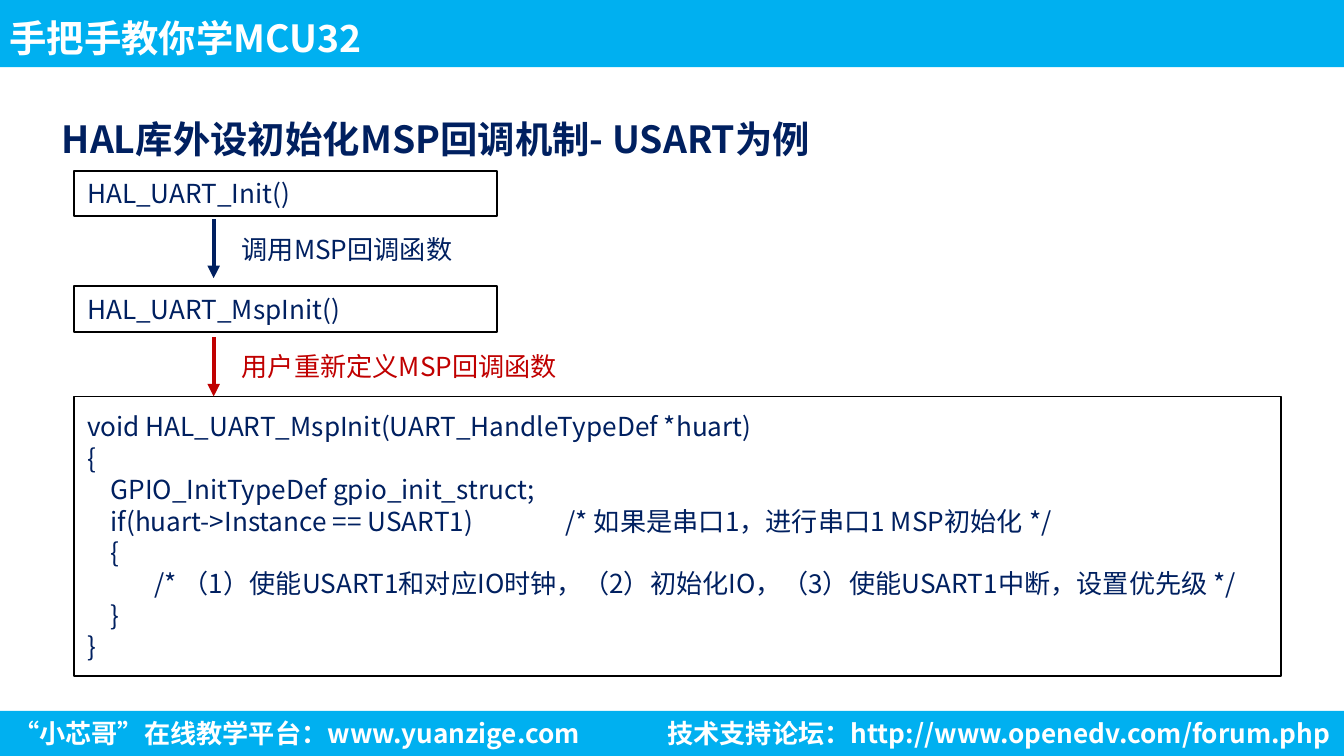
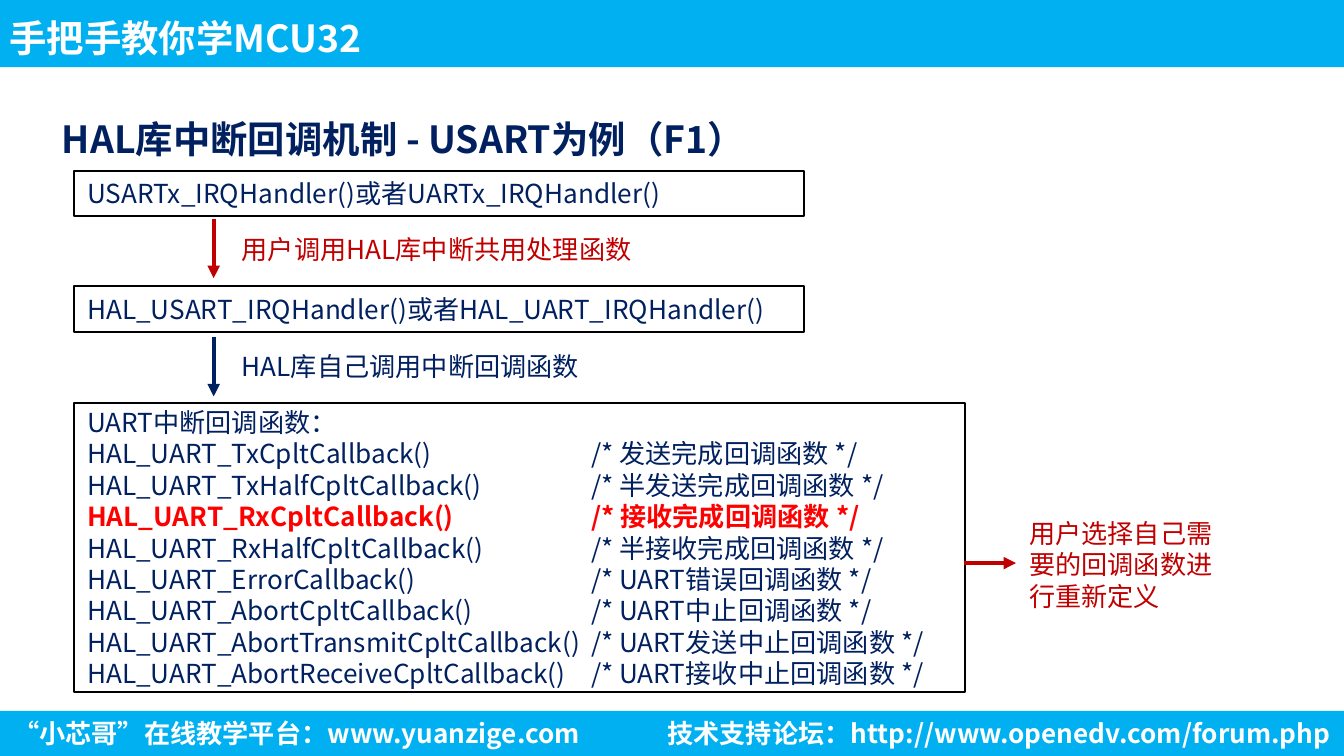
from lxml.etree import SubElement
from pptx import Presentation
from pptx.dml.color import RGBColor
from pptx.enum.shapes import MSO_CONNECTOR as Connector, MSO_SHAPE as Shape
from pptx.enum.text import MSO_ANCHOR as Anchor, MSO_AUTO_SIZE as AutoSize, PP_ALIGN as Align
from pptx.oxml.ns import qn
from pptx.util import Inches, Pt

FONT = "Noto Sans CJK SC"
COLORS = {
    "band": "00B0F0",
    "white": "FFFFFF",
    "black": "000000",
    "navy": "002060",
    "red": "C00000",
    "bright": "FF0000",
}
COURSE = "手把手教你学MCU32"
PLATFORM = "“小芯哥”在线教学平台：www.yuanzige.com"
FORUM = "技术支持论坛：http://www.openedv.com/forum.php"
WIDTH = 10
HEIGHT = WIDTH * 9 / 16
FOOTER_TOP, FOOTER_HEIGHT = 5.29, 0.34
BOX_LEFT, STEP_TOP, STEP_GAP, STEP_HEIGHT = 0.55, 1.27, 0.86, 0.34
ARROW_X, ARROW_TOP, ARROW_GAP, ARROW_LENGTH = 1.59, 1.63, 0.88, 0.44
NOTE_LEFT, NOTE_TOP, NOTE_GAP = 1.7, 1.69, 0.87

MSP_CODE = [
    "void HAL_UART_MspInit(UART_HandleTypeDef *huart)",
    "{",
    "    GPIO_InitTypeDef gpio_init_struct;",
    "    if(huart->Instance == USART1)\t/* 如果是串口1，进行串口1 MSP初始化 */",
    "    {",
    "\t/* （1）使能USART1和对应IO时钟，（2）初始化IO，（3）使能USART1中断，设置优先级 */",
    "    }",
    "}",
]
CALLBACKS = [
    ("TxCplt", "发送完成"),
    ("TxHalfCplt", "半发送完成"),
    ("RxCplt", "接收完成"),
    ("RxHalfCplt", "半接收完成"),
    ("Error", "UART错误"),
    ("AbortCplt", "UART中止"),
    ("AbortTransmitCplt", "UART发送中止"),
    ("AbortReceiveCplt", "UART接收中止"),
]


def rgb(name):
    """Return the named palette colour."""
    return RGBColor.from_string(COLORS[name])


def style(para, size, color, bold=False, tab=None):
    """Set the tab stop and the font of a paragraph."""
    properties = para._p.get_or_add_pPr()
    if tab:
        stops = SubElement(properties, qn("a:tabLst"))
        SubElement(stops, qn("a:tab"), pos=str(Inches(tab)), algn="l")
    font = para.font
    font.size, font.bold, font.name = Pt(size), bold, FONT
    font.color.rgb = rgb(color)
    SubElement(properties.find(qn("a:defRPr")), qn("a:ea"), typeface=FONT)


def add_rect(page, left, top, width, height, fill, line=None):
    """Add a flat rectangle with an optional outline."""
    box = page.shapes.add_shape(
        Shape.RECTANGLE, Inches(left), Inches(top), Inches(width), Inches(height))
    box.shadow.inherit = False
    box.fill.solid()
    box.fill.fore_color.rgb = rgb(fill)
    if line:
        box.line.color.rgb = rgb(line)
        box.line.width = Pt(1)
    else:
        box.line.fill.background()
    return box


def add_text(page, left, top, width, height, text, color, size=14, bold=False,
             align=Align.LEFT, spacing=None, insets=(0.1, 0.05), middle=False):
    """Add a wrapped one-paragraph text box."""
    box = page.shapes.add_textbox(Inches(left), Inches(top), Inches(width), Inches(height))
    frame = box.text_frame
    frame.word_wrap = True
    frame.auto_size = AutoSize.NONE if middle else AutoSize.SHAPE_TO_FIT_TEXT
    frame.vertical_anchor = Anchor.MIDDLE if middle else Anchor.TOP
    frame.margin_left = frame.margin_right = Inches(insets[0])
    frame.margin_top = frame.margin_bottom = Inches(insets[1])
    para = frame.paragraphs[0]
    para.text, para.alignment = text, align
    if spacing:
        para.line_spacing = spacing
    style(para, size, color, bold)


def add_code_box(page, top, width, height, lines, tab=None, highlight=None):
    """Add an outlined box with one paragraph for each line."""
    box = add_rect(page, BOX_LEFT, top, width, height, "white", "black")
    frame = box.text_frame
    frame.word_wrap = True
    frame.vertical_anchor = Anchor.MIDDLE
    for index, line in enumerate(lines):
        para = frame.add_paragraph() if index else frame.paragraphs[0]
        para.text, para.alignment = line, Align.LEFT
        stop = 0.5 if line.startswith("\t") else tab
        marked = index == highlight
        style(para, 14, "bright" if marked else "navy", marked, stop)


def add_arrow(page, start, end, color):
    """Add a straight arrow between two points."""
    arrow = page.shapes.add_connector(
        Connector.STRAIGHT, *(Inches(value) for value in (*start, *end)))
    arrow.line.color.rgb = rgb(color)
    arrow.line.width = Pt(2.25)
    outline = arrow._element.spPr
    SubElement(outline.find(qn("a:ln")), qn("a:tailEnd"), type="triangle")
    SubElement(outline, qn("a:effectLst"))


def add_page(deck, title, title_width):
    """Add a blank slide with the bands, footers and title."""
    page = deck.slides.add_slide(deck.slide_layouts[6])
    add_rect(page, 0, FOOTER_TOP, WIDTH, FOOTER_HEIGHT, "band")
    add_rect(page, 0, 0, WIDTH, 0.5, "band")
    add_text(page, 0, FOOTER_TOP, 5.88, FOOTER_HEIGHT, PLATFORM, "white", bold=True)
    add_text(page, 3.63, FOOTER_TOP, 6.37, FOOTER_HEIGHT, FORUM, "white",
             bold=True, align=Align.RIGHT)
    add_text(page, 0, 0, 6.45, 0.5, COURSE, "white", 20, True,
             spacing=1.2, insets=(0.07, 0.04), middle=True)
    add_text(page, 0.41, 0.68, title_width, 0.5, title, "navy", 20, True,
             spacing=1.5, insets=(0.05, 0.02))
    return page


def add_steps(page, width, steps):
    """Add the call chain of boxes, each with an arrow and a note below."""
    for index, (call, note, note_width, color) in enumerate(steps):
        add_code_box(page, STEP_TOP + index * STEP_GAP, width, STEP_HEIGHT, [call])
        top = ARROW_TOP + index * ARROW_GAP
        add_arrow(page, (ARROW_X, top), (ARROW_X, top + ARROW_LENGTH), color)
        add_text(page, NOTE_LEFT, NOTE_TOP + index * NOTE_GAP, note_width, 0.34, note, color)


def add_msp_page(deck):
    """Add the slide on the MSP initialisation callback."""
    page = add_page(deck, "HAL库外设初始化MSP回调机制- USART为例", 8.74)
    add_code_box(page, 2.95, 8.98, 2.08, MSP_CODE, tab=3.56)
    add_steps(page, 3.15, [
        ("HAL_UART_Init()", "调用MSP回调函数", 3.71, "navy"),
        ("HAL_UART_MspInit()", "用户重新定义MSP回调函数", 3.21, "red"),
    ])


def add_interrupt_page(deck):
    """Add the slide on the interrupt callbacks."""
    page = add_page(deck, "HAL库中断回调机制 - USART为例（F1）", 6.45)
    lines = ["UART中断回调函数："]
    lines += [f"HAL_UART_{name}Callback()\t/* {event}回调函数 */" for name, event in CALLBACKS]
    add_code_box(page, 3, 6.63, 2.15, lines, tab=3.75, highlight=3)
    add_steps(page, 5.43, [
        ("USARTx_IRQHandler()或者UARTx_IRQHandler()",
         "用户调用HAL库中断共用处理函数", 3.71, "red"),
        ("HAL_USART_IRQHandler()或者HAL_UART_IRQHandler()",
         "HAL库自己调用中断回调函数", 3.21, "navy"),
    ])
    add_text(page, 7.56, 3.8, 1.58, 0.81, "用户选择自己需要的回调函数进行重新定义", "red")
    add_arrow(page, (7.17, 4.19), (7.56, 4.19), "red")


def main():
    """Build and save the deck."""
    deck = Presentation()
    deck.slide_width, deck.slide_height = Inches(WIDTH), Inches(HEIGHT)
    add_msp_page(deck)
    add_interrupt_page(deck)
    deck.save("out.pptx")


if __name__ == "__main__":
    main()
